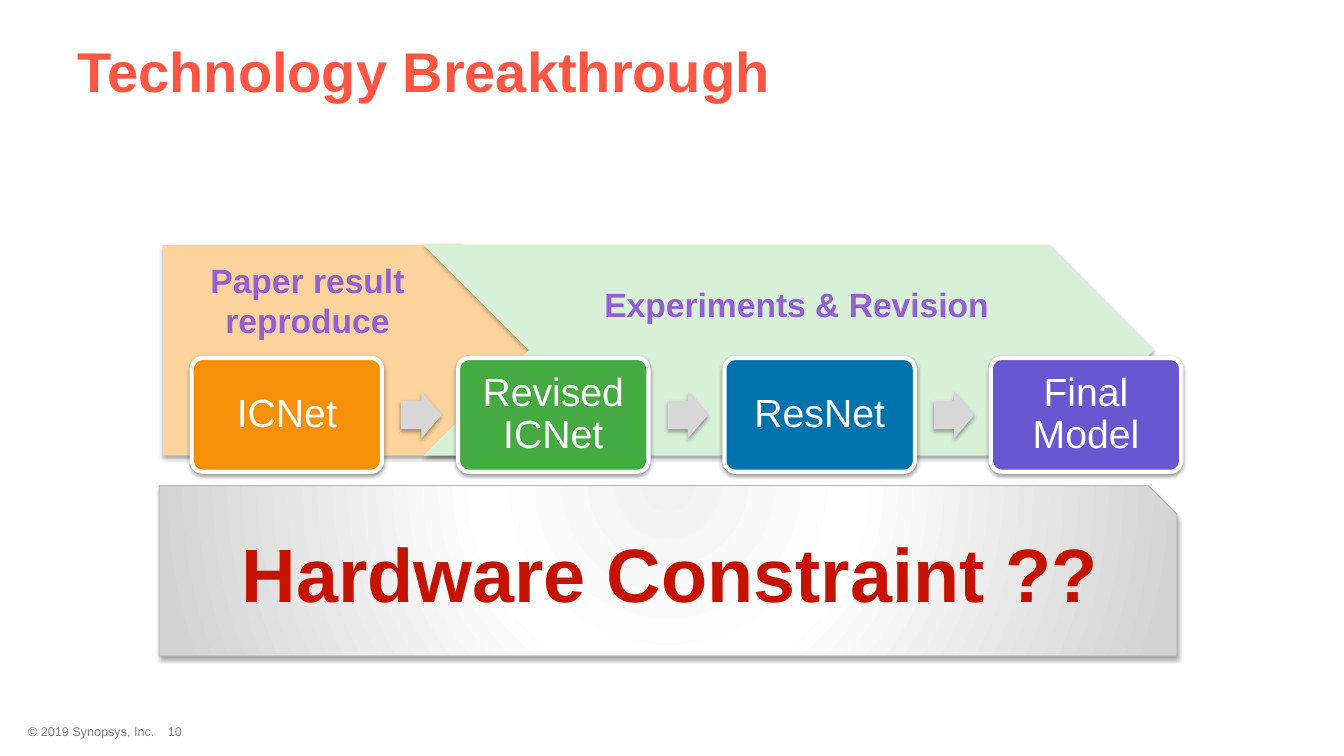
from dataclasses import dataclass

from pptx import Presentation
from pptx import util as u
from pptx.dml.color import RGBColor
from pptx.enum import shapes, text
from pptx.oxml import parse_xml
from pptx.oxml.ns import nsdecls

KIND = shapes.MSO_SHAPE
MID = text.PP_ALIGN.CENTER
LEFT = text.PP_ALIGN.LEFT


@dataclass(frozen=True)
class Theme:
    font: str = "Arial"
    title: str = "FF5543"
    label: str = "9260D1"
    alarm: str = "C41300"
    foot: str = "808080"
    white: str = "FFFFFF"
    peach: str = "FCD39C"
    mint: str = "D8F0D8"
    arrow: str = "D7D7D7"
    edge: str = "B8B8B8"
    cards: tuple = ("F69008", "46AA42", "0072AC", "6758D1")
    glow: tuple = ((0, "F2F2F2"), (36, "FFFFFF"), (100, "D3D3D3"))
    head_size: int = 40
    card_size: int = 28
    label_size: int = 24
    alarm_size: int = 54
    foot_size: int = 9


T = Theme()


def write(frame, lines, size, color, bold=False, align=MID):
    frame.word_wrap = True
    for i, line in enumerate(lines):
        para = frame.paragraphs[0] if i == 0 else frame.add_paragraph()
        para.alignment = align
        run = para.add_run()
        run.text = line
        font = run.font
        font.name, font.size, font.bold = T.font, u.Pt(size), bold
        font.color.rgb = RGBColor.from_string(color)


def label(slide, box, lines, size, color, bold=False, align=MID):
    area = slide.shapes.add_textbox(*map(u.Cm, box))
    write(area.text_frame, lines, size, color, bold, align)


def shade(shape, alpha=35, dist=1.8):
    shape.shadow.inherit = False
    shape._element.spPr.find(".//{*}effectLst").append(parse_xml(
        f'<a:outerShdw {nsdecls("a")} blurRad="{u.Pt(3.1)}" '
        f'dist="{u.Pt(dist)}" dir="5400000" rotWithShape="0">'
        f'<a:srgbClr val="000000"><a:alpha val="{alpha * 1000}"/>'
        '</a:srgbClr></a:outerShdw>'))


def block(slide, kind, box, fill, line=None, width=0):
    shape = slide.shapes.add_shape(kind, *map(u.Cm, box))
    shape.fill.solid()
    shape.fill.fore_color.rgb = RGBColor.from_string(fill)
    if line:
        shape.line.color.rgb = RGBColor.from_string(line)
        shape.line.width = u.Pt(width)
    else:
        shape.line.fill.background()
    return shape


def header(slide, box):
    title = slide.shapes.title
    title.left, title.top, title.width, title.height = map(u.Cm, box)
    frame = title.text_frame
    frame.auto_size = text.MSO_AUTO_SIZE.NONE
    frame.vertical_anchor = text.MSO_ANCHOR.MIDDLE
    write(frame, ["Technology Breakthrough"], T.head_size, T.title, True, LEFT)


def phases(slide, box):
    x, y, w, h = box
    start = 6.56
    shade(block(slide, KIND.PENTAGON, (x, y, 10.19, h), T.peach))
    shade(block(slide, KIND.CHEVRON, (x + start, y, w - start, h), T.mint))
    label(slide, (x - 0.68, y + 0.25, 8.64, 3.07),
          ["Paper result", "reproduce"], T.label_size, T.label, True)
    label(slide, (x + 10.87, y + 0.87, 10.41, 2.06),
          ["Experiments & Revision"], T.label_size, T.label, True, LEFT)


def models(slide, box):
    x, y, w, h = box
    names = ["ICNet", "Revised ICNet", "ResNet", "Final Model"]
    wide = 4.8
    step = (w - wide) / (len(names) - 1)
    for i, (name, fill) in enumerate(zip(names, T.cards)):
        left = x + i * step
        card = block(slide, KIND.ROUNDED_RECTANGLE, (left, y, wide, h),
                     fill, T.white, 3)
        card.adjustments[0] = 0.1
        shade(card, 38, 1.6)
        frame = card.text_frame
        frame.margin_left = frame.margin_right = u.Cm(0.4)
        frame.margin_top = frame.margin_bottom = u.Cm(0.4)
        frame.vertical_anchor = text.MSO_ANCHOR.MIDDLE
        write(frame, [name], T.card_size, T.white)
        frame.paragraphs[0].line_spacing = 0.9
        if i < len(names) - 1:
            tall = 1.19
            arrow = block(slide, KIND.RIGHT_ARROW,
                          (left + 5.28, y + (h - tall) / 2, 1.02, tall),
                          T.arrow)
            arrow.adjustments[0] = 0.6
            shade(arrow)


def limit(slide, box):
    x, y, w, h = box
    panel = block(slide, KIND.SNIP_1_RECTANGLE, box, T.white, T.edge, 0.75)
    shade(panel)
    stops = "".join(
        f'<a:gs pos="{pos * 1000}"><a:srgbClr val="{color}"/></a:gs>'
        for pos, color in T.glow)
    solid = panel._element.spPr.find("{*}solidFill")
    solid.getparent().replace(solid, parse_xml(
        f'<a:gradFill {nsdecls("a")} rotWithShape="1"><a:gsLst>{stops}</a:gsLst>'
        '<a:path path="circle"><a:fillToRect l="50000" t="-80000" '
        'r="50000" b="180000"/></a:path></a:gradFill>'))
    label(slide, (x + 0.1, y + 0.92, w - 0.1, 2.59),
          ["Hardware Constraint ??"], T.alarm_size, T.alarm, True)


def footer(slide, box):
    x, y, w, h = box
    label(slide, box, ["© 2019 Synopsys, Inc."], T.foot_size, T.foot,
          align=LEFT)
    label(slide, (x + 2.77, y, 2.36, h), ["10"], T.foot_size, T.foot)


def main():
    deck = Presentation()
    deck.slide_width, deck.slide_height = u.Cm(33.87), u.Cm(19.05)
    slide = deck.slides.add_slide(deck.slide_layouts[5])
    header(slide, (1.7, 0.18, 32.17, 3.18))
    phases(slide, (4.11, 6.17, 24.97, 5.31))
    models(slide, (4.83, 9.02, 24.94, 2.87))
    limit(slide, (4.01, 12.24, 25.65, 4.29))
    footer(slide, (0.46, 18.11, 10.44, 0.64))
    deck.save("out.pptx")


if __name__ == "__main__":
    main()
